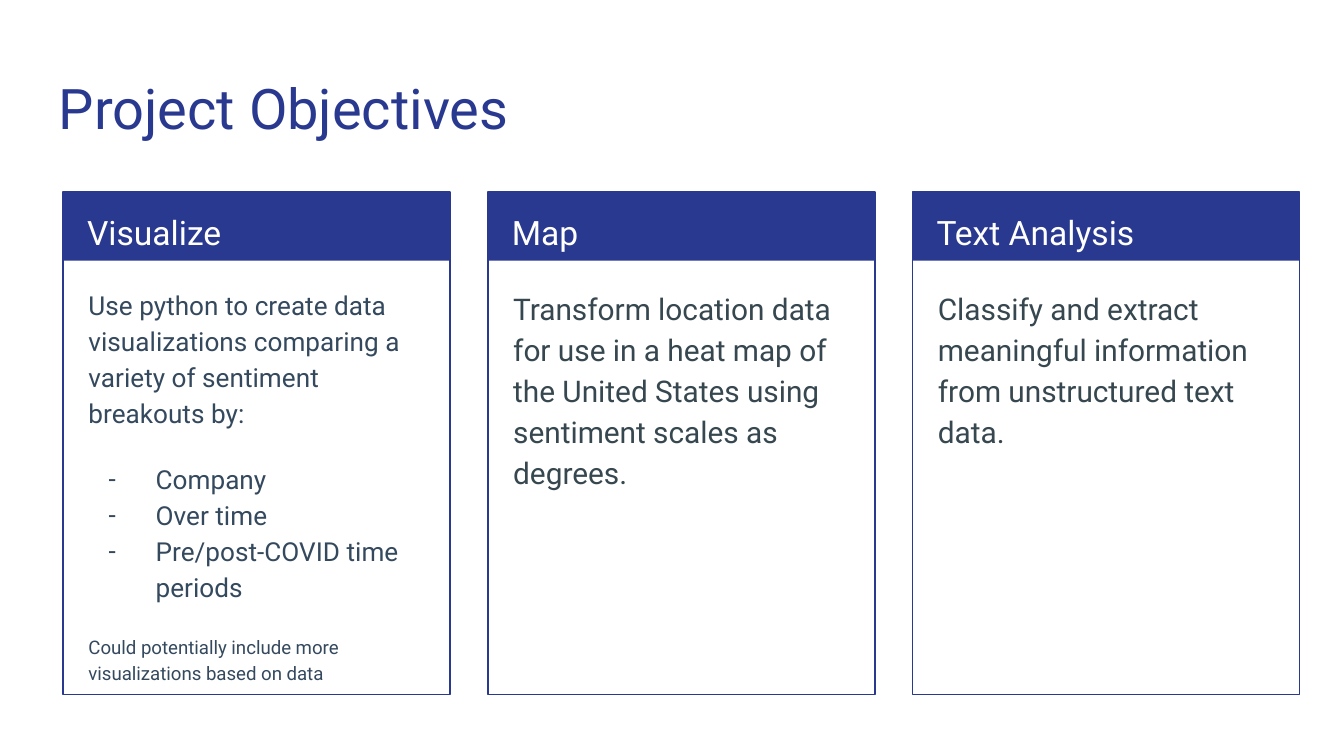
"""Build the Project Objectives slide with three titled cards."""
from dataclasses import dataclass

import lxml.etree
import pptx
import pptx.dml.color
import pptx.enum.shapes
import pptx.enum.text
import pptx.oxml.ns
import pptx.util

Inches = pptx.util.Inches
Pt = pptx.util.Pt


@dataclass(frozen=True)
class Theme:
    font: str = "Roboto"
    navy: str = "2A3990"
    white: str = "FFFFFF"
    slate: str = "34495E"
    charcoal: str = "37474F"
    title_size: int = 30
    heading_size: int = 18
    body_size: int = 16
    list_size: int = 14
    note_size: int = 10
    line_spacing: float = 1.15
    gap: int = 16


THEME = Theme()
CARD_LEFT, CARD_STEP, CARD_TOP = 0.47, 3.16, 1.43
CARD_WIDTH, CARD_HEIGHT, HEADER_HEIGHT = 2.88, 3.74, 0.51
HEADING_OFFSET, BODY_OFFSET = 0.08, 0.09


def rgb(value):
    return pptx.dml.color.RGBColor.from_string(value)


def add_text_box(page, left, top, width, height):
    box = page.shapes.add_textbox(Inches(left), Inches(top), Inches(width), Inches(height))
    frame = box.text_frame
    frame.word_wrap = True
    frame.vertical_anchor = pptx.enum.text.MSO_ANCHOR.TOP
    frame.margin_left = frame.margin_right = Inches(0.1)
    frame.margin_top = frame.margin_bottom = Inches(0.1)
    return box


def style_paragraph(para, size, color, before=0, after=0, spacing=THEME.line_spacing):
    para.line_spacing = spacing
    para.space_before = Pt(before)
    para.space_after = Pt(after)
    for span in para.runs:
        span.font.name = THEME.font
        span.font.size = Pt(size)
        span.font.color.rgb = rgb(color)


def add_dash(para, color):
    properties = para._p.get_or_add_pPr()
    properties.set("marL", str(Inches(0.5)))
    properties.set("indent", str(Inches(-0.35)))
    qn = pptx.oxml.ns.qn
    bullet_color = lxml.etree.SubElement(properties, qn("a:buClr"))
    lxml.etree.SubElement(bullet_color, qn("a:srgbClr")).set("val", color)
    lxml.etree.SubElement(properties, qn("a:buFont")).set("typeface", THEME.font)
    lxml.etree.SubElement(properties, qn("a:buChar")).set("char", "-")


def add_rectangle(page, left, height, filled):
    box = page.shapes.add_shape(
        pptx.enum.shapes.MSO_SHAPE.RECTANGLE,
        Inches(left), Inches(CARD_TOP), Inches(CARD_WIDTH), Inches(height))
    box.shadow.inherit = False
    if filled:
        box.fill.solid()
        box.fill.fore_color.rgb = rgb(THEME.navy)
        box.line.fill.background()
    else:
        box.fill.background()
        box.line.color.rgb = rgb(THEME.navy)
        box.line.width = Pt(0.75)


def add_card(page, index, heading):
    """Draw a card and return its empty body box."""
    left = CARD_LEFT + index * CARD_STEP
    add_rectangle(page, left, HEADER_HEIGHT, True)
    add_rectangle(page, left, CARD_HEIGHT, False)
    box = add_text_box(page, left + HEADING_OFFSET, CARD_TOP, 2.73, 0.5)
    box.text_frame.text = heading
    style_paragraph(box.text_frame.paragraphs[0], THEME.heading_size, THEME.white)
    return add_text_box(page, left + BODY_OFFSET, 2.02, 2.71, 3.06)


def fill_plain(box, text):
    box.text_frame.text = text
    style_paragraph(box.text_frame.paragraphs[0], THEME.body_size, THEME.charcoal,
                    after=THEME.gap)


def fill_list(box, intro, items, note):
    box.text_frame.text = "\n".join([intro, *items, note])
    first, *bullets, last = box.text_frame.paragraphs
    style_paragraph(first, THEME.list_size, THEME.slate)
    for number, para in enumerate(bullets):
        style_paragraph(para, THEME.list_size, THEME.slate,
                        before=0 if number else THEME.gap)
        add_dash(para, THEME.slate)
    style_paragraph(last, THEME.note_size, THEME.slate, THEME.gap, THEME.gap)


def main():
    deck = pptx.Presentation()
    deck.slide_width = Inches(10)
    deck.slide_height = deck.slide_width * 9 // 16
    page = deck.slides.add_slide(deck.slide_layouts[6])

    title = add_text_box(page, 0.34, 0.45, 9.32, 0.66)
    title.text_frame.text = "Project Objectives"
    style_paragraph(title.text_frame.paragraphs[0], THEME.title_size, THEME.navy, spacing=1.0)

    fill_list(
        add_card(page, 0, "Visualize"),
        "Use python to create data visualizations comparing a variety of sentiment breakouts by:",
        ["Company", "Over time", "Pre/post-COVID time periods"],
        "Could potentially include more visualizations based on data")
    fill_plain(
        add_card(page, 1, "Map"),
        "Transform location data for use in a heat map of the United States "
        "using sentiment scales as degrees.")
    fill_plain(
        add_card(page, 2, "Text Analysis"),
        "Classify and extract meaningful information from unstructured text data.")

    deck.save("out.pptx")


if __name__ == "__main__":
    main()
